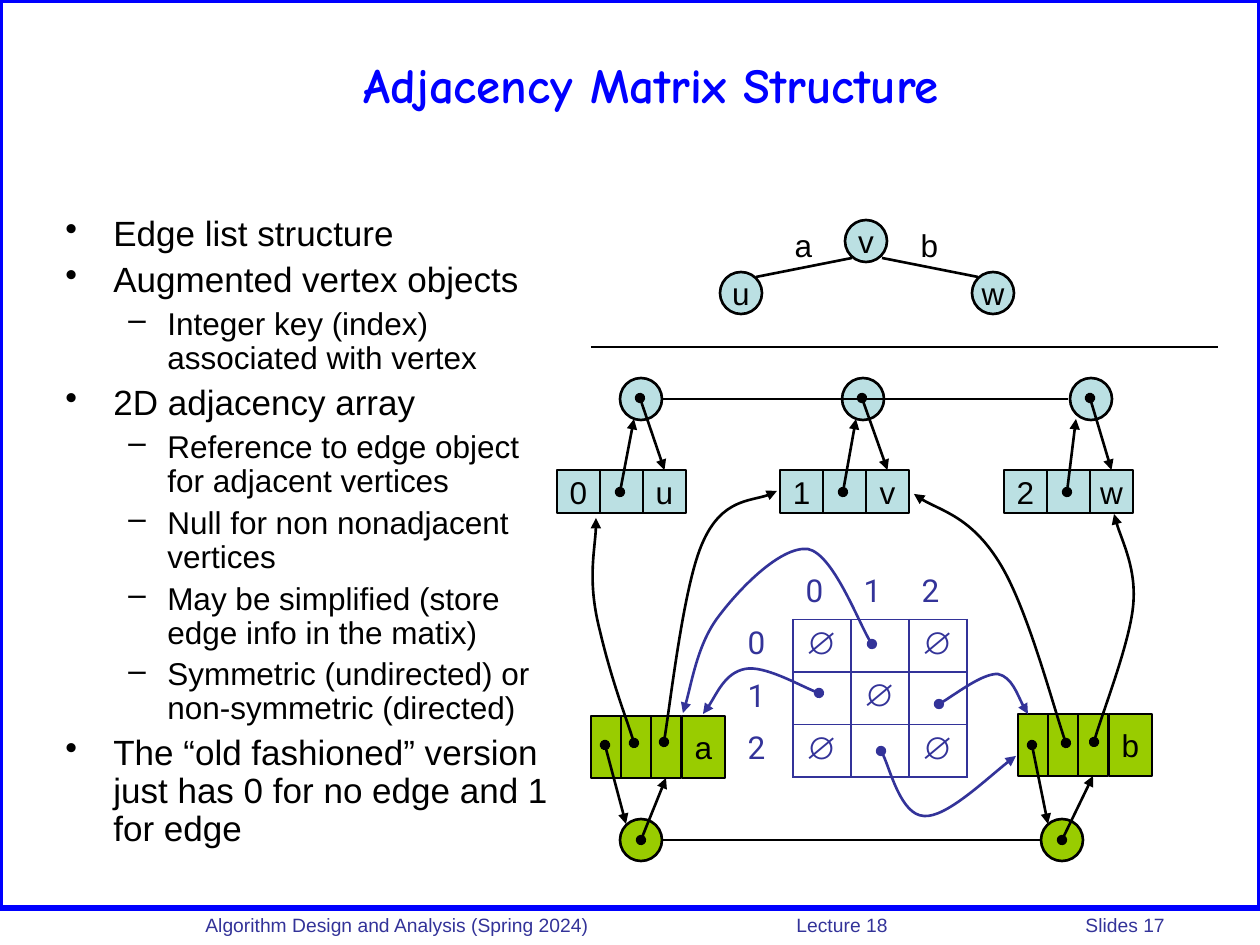
from lxml import etree
from pptx import Presentation
from pptx import util as u
from pptx.dml.color import RGBColor
from pptx.enum import shapes, text
from pptx.oxml.ns import qn

EMU_PER_PX = 914400 / 126
COLORS = {name: RGBColor.from_string(value) for name, value in {
    "black": "000000", "blue": "0000FF", "indigo": "333399",
    "vertex": "BBE0E3", "edge": "99CC00"}.items()}
RECTANGLE, OVAL = shapes.MSO_SHAPE.RECTANGLE, shapes.MSO_SHAPE.OVAL
NODE = 42
CELL = 43


def px(*values):
    return [u.Emu(round(value * EMU_PER_PX)) for value in values]


def draw_line(shape, color="black", width=1.5, arrow=False):
    """Style an outline; an arrow gets a dot at its start. Shadows are removed."""
    shape.line.color.rgb = COLORS[color]
    shape.line.width = u.Pt(width)
    if arrow:
        outline = shape.line._ln
        etree.SubElement(outline, qn("a:headEnd"), type="oval")
        etree.SubElement(outline, qn("a:tailEnd"), type="triangle")
    etree.SubElement(shape._element.spPr, qn("a:effectLst"))


presentation = Presentation()
presentation.slide_width, presentation.slide_height = px(1260, 945)
slide = presentation.slides.add_slide(presentation.slide_layouts[5])

# Frame and footer
frame = slide.shapes.add_shape(RECTANGLE, *px(0, 0, 1260, 908))
frame.fill.background()
draw_line(frame, "blue", 3)

footer = slide.shapes.add_textbox(*px(168, 907, 1092, 33))
footer.text_frame.word_wrap = True
paragraph = footer.text_frame.paragraphs[0]
paragraph.text = "\tAlgorithm Design and Analysis (Spring 2024)\tLecture 18\tSlides 17"
tabs = etree.SubElement(paragraph._p.get_or_add_pPr(), qn("a:tabLst"))
for position in px(25, 616, 905):
    etree.SubElement(tabs, qn("a:tab"), pos=str(position), algn="l")
paragraph.font.size = u.Pt(11)
paragraph.font.name = "Arial"
paragraph.font.color.rgb = COLORS["indigo"]

# Title
title = slide.shapes.title
title.left, title.top, title.width, title.height = px(84, 21, 1134, 126)
title.text_frame.vertical_anchor = text.MSO_ANCHOR.MIDDLE
paragraph = title.text_frame.paragraphs[0]
paragraph.text = "Adjacency Matrix Structure"
paragraph.alignment = text.PP_ALIGN.CENTER
paragraph.font.size = u.Pt(28)
paragraph.font.name = "Comic Neue"
paragraph.font.bold = True
paragraph.font.color.rgb = COLORS["blue"]

# Bullet list: (level, text)
points = [
    (0, "Edge list structure"),
    (0, "Augmented vertex objects"),
    (1, "Integer key (index) associated with vertex"),
    (0, "2D adjacency array"),
    (1, "Reference to edge object for adjacent vertices"),
    (1, "Null for non nonadjacent vertices"),
    (1, "May be simplified (store edge info in the matix)"),
    (1, "Symmetric (undirected) or non-symmetric (directed)"),
    (0, "The “old fashioned” version just has 0 for no edge and 1 for edge"),
]
# For each level: bullet, left margin, hanging indent, font size, space before
levels = [("•", 48, -48, 20, 5), ("–", 102, -39, 18, 4.5)]
body = slide.shapes.add_textbox(*px(53, 210, 514, 662)).text_frame
body.word_wrap = True
for number, (level, point) in enumerate(points):
    bullet, margin, indent, size, gap = levels[level]
    paragraph = body.add_paragraph() if number else body.paragraphs[0]
    paragraph.text = point
    paragraph.level = level
    paragraph.line_spacing = 0.9
    if number:
        paragraph.space_before = u.Pt(gap)
    properties = paragraph._p.get_or_add_pPr()
    for key, value in zip(("marL", "indent"), px(margin, indent)):
        properties.set(key, str(value))
    etree.SubElement(properties, qn("a:buChar"), char=bullet)
    paragraph.font.size = u.Pt(size)
    paragraph.font.name = "Arial"
    paragraph.font.color.rgb = COLORS["black"]

# Adjacency matrix
rows = [["", "0", "1", "2"],
        ["0", "∅", "", "∅"],
        ["1", "", "∅", ""],
        ["2", "∅", "", "∅"]]
table = slide.shapes.add_table(4, 4, *px(735, 567, 232, 210)).table
table.first_row = table.horz_banding = False
for row, values in enumerate(rows):
    for column, value in enumerate(values):
        cell = table.cell(row, column)
        properties = cell._tc.get_or_add_tcPr()
        for side in "LRTB":
            border = etree.SubElement(properties, qn("a:ln" + side), w=str(u.Pt(0.75)))
            ruled = (row and column) or (row and side == "R") or (column and side == "B")
            if ruled:
                fill = etree.SubElement(border, qn("a:solidFill"))
                etree.SubElement(fill, qn("a:srgbClr"), val=str(COLORS["indigo"]))
            else:
                etree.SubElement(border, qn("a:noFill"))
        cell.fill.background()
        paragraph = cell.text_frame.paragraphs[0]
        paragraph.text = value
        paragraph.font.size = u.Pt(18)
        paragraph.font.name = "Arial" if value == "∅" else "Roboto"
        paragraph.font.bold = value == "∅"
        paragraph.font.color.rgb = COLORS["indigo"]

# Boxes: (preset, left, top, width, height, fill, label)
boxes = [(OVAL, x, y, NODE, NODE, "vertex", name)
         for x, y, name in [(720, 272, "u"), (845, 220, "v"), (972, 272, "w")]]
boxes += [(None, x, 220, 43, 50, None, name) for x, name in [(782, "a"), (908, "b")]]
# Lines: (x1, y1, x2, y2, width, is arrow, box joined at the end, its side)
lines = [(882, 258, 978, 277, 1.5, False, None, None),
         (852, 258, 756, 277, 1.5, False, None, None),
         (591, 347, 1218, 347, 0.75, False, None, None),
         (1068, 399, 663, 399, 1.5, False, None, None),
         (1040, 840, 663, 840, 1.5, False, None, None)]

# Vertex records: list node x, cells x, tip x of the arrow back to the node
for key, name, node_x, x, tip_x in [("0", "u", 620, 557, 634),
                                    ("1", "v", 842, 780, 856),
                                    ("2", "w", 1070, 1004, 1076)]:
    boxes.append((OVAL, node_x, 378, NODE, NODE, "vertex", ""))
    for step, label in enumerate([key, "", name]):
        boxes.append((RECTANGLE, x + step * CELL, 470, CELL, CELL, "vertex", label))
    lines.append((node_x + 20, 398, x + 108, 470, 1.5, True, len(boxes) - 1, 0))
    lines.append((x + 63, 492, tip_x, 419, 1.5, True, None, None))

# Edge records: list node x, cells x and top, tip x of the arrow to the node
for name, node_x, x, top, tip_x in [("a", 620, 591, 716, 626),
                                    ("b", 1041, 1018, 714, 1048)]:
    boxes.append((OVAL, node_x, 819, NODE, NODE, "edge", ""))
    for step in range(3):
        boxes.append((RECTANGLE, x + step * 30, top, 30, 62, "edge", ""))
    lines.append((node_x + 21, 840, x + 75, top + 62, 1.5, True, len(boxes) - 1, 2))
    boxes.append((RECTANGLE, x + 91, top, CELL, 62, "edge", name))
    lines.append((x + 14, 745, tip_x, 824, 1.5, True, None, None))

drawn = []
for preset, left, top, width, height, color, label in boxes:
    area = px(left, top, width, height)
    if preset is None:
        shape = slide.shapes.add_textbox(*area)
    else:
        shape = slide.shapes.add_shape(preset, *area)
        shape.fill.solid()
        shape.fill.fore_color.rgb = COLORS[color]
        draw_line(shape)
    drawn.append(shape)
    if label:
        shape.text_frame.word_wrap = False
        paragraph = shape.text_frame.paragraphs[0]
        paragraph.text = label
        paragraph.alignment = text.PP_ALIGN.CENTER
        paragraph.font.size = u.Pt(18)
        paragraph.font.name = "Arial"
        paragraph.font.color.rgb = COLORS["black"]

for *ends, width, arrow, target, side in lines:
    connector = slide.shapes.add_connector(shapes.MSO_CONNECTOR.STRAIGHT, *px(*ends))
    draw_line(connector, width=width, arrow=arrow)
    if target is not None:
        connector.end_connect(drawn[target], side)

# Curved references: start, then two control points and an end per Bézier piece
curves = [
    ("black", [(664, 742), (670, 708), (684, 583), (703, 542), (722, 499), (762, 501), (777, 491)]),
    ("black", [(634, 743), (629, 725), (612, 682), (600, 631), (587, 581), (597, 542), (596, 518)]),
    ("black", [(1066, 743), (1055, 713), (1027, 606), (999, 562), (971, 517), (931, 508), (914, 494)]),
    ("black", [(1094, 742), (1100, 719), (1129, 645), (1133, 607), (1137, 570), (1118, 533), (1114, 514)]),
    ("indigo", [(819, 693), (806, 689), (764, 665), (745, 669), (725, 673), (712, 704), (703, 714)]),
    ("indigo", [(872, 644), (861, 629), (833, 554), (808, 549), (781, 546), (740, 588), (719, 616),
                (698, 643), (690, 693), (683, 713)]),
    ("indigo", [(939, 704), (949, 699), (983, 673), (998, 674), (1012, 677), (1022, 706), (1028, 714)]),
    ("indigo", [(881, 751), (888, 761), (901, 815), (924, 816), (946, 818), (997, 769), (1016, 756)]),
]
for color, (start, *controls) in curves:
    builder = slide.shapes.build_freeform(*start, scale=EMU_PER_PX)
    builder.add_line_segments(controls, close=False)
    curve = builder.convert_to_shape()
    curve.fill.background()
    draw_line(curve, color, arrow=True)
    outline = next(curve._element.iter(qn("a:path")))
    segments = outline.findall(qn("a:lnTo"))
    for first in range(0, len(segments), 3):
        bezier = etree.SubElement(outline, qn("a:cubicBezTo"))
        for segment in segments[first:first + 3]:
            bezier.append(segment[0])
            outline.remove(segment)

presentation.save("out.pptx")
